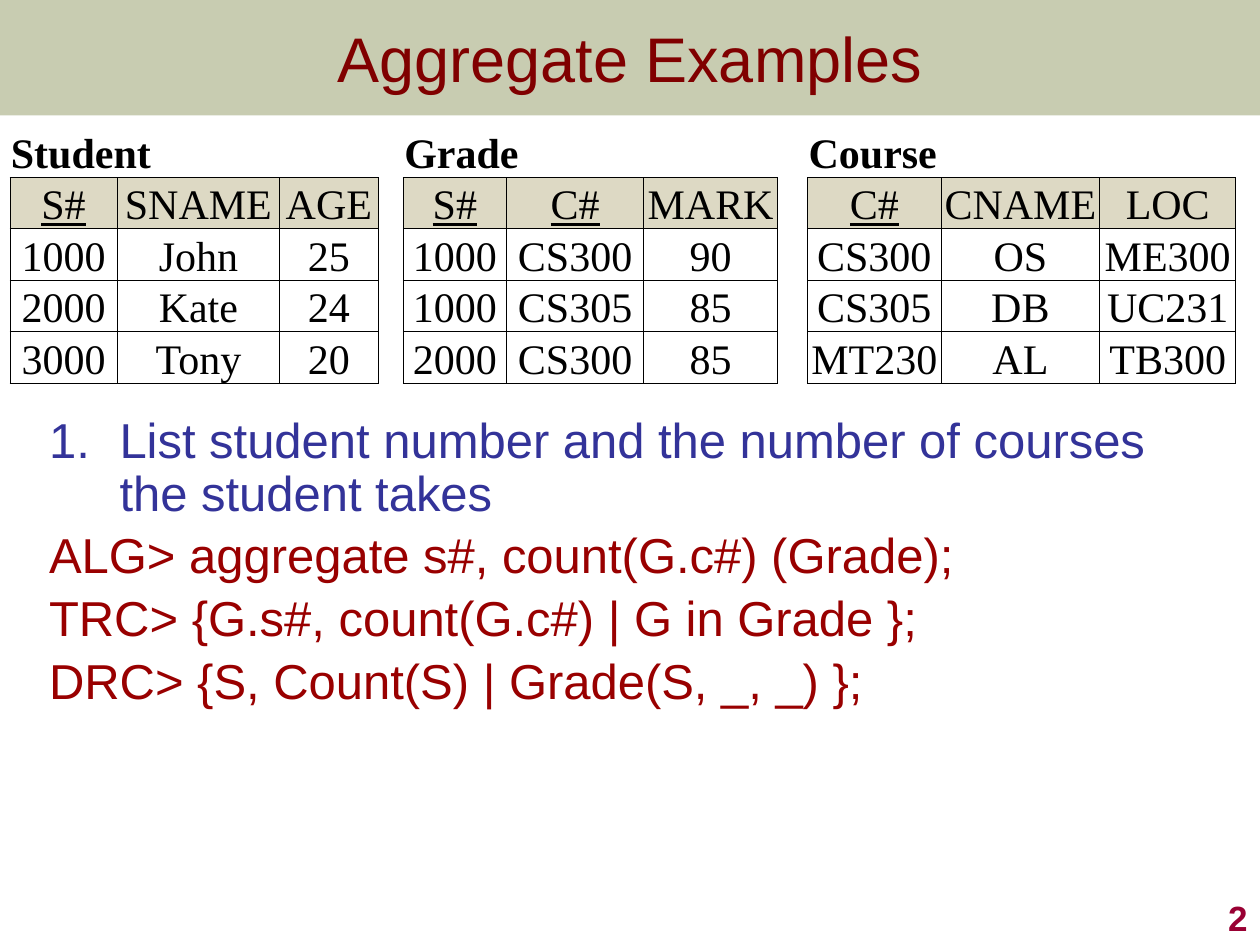
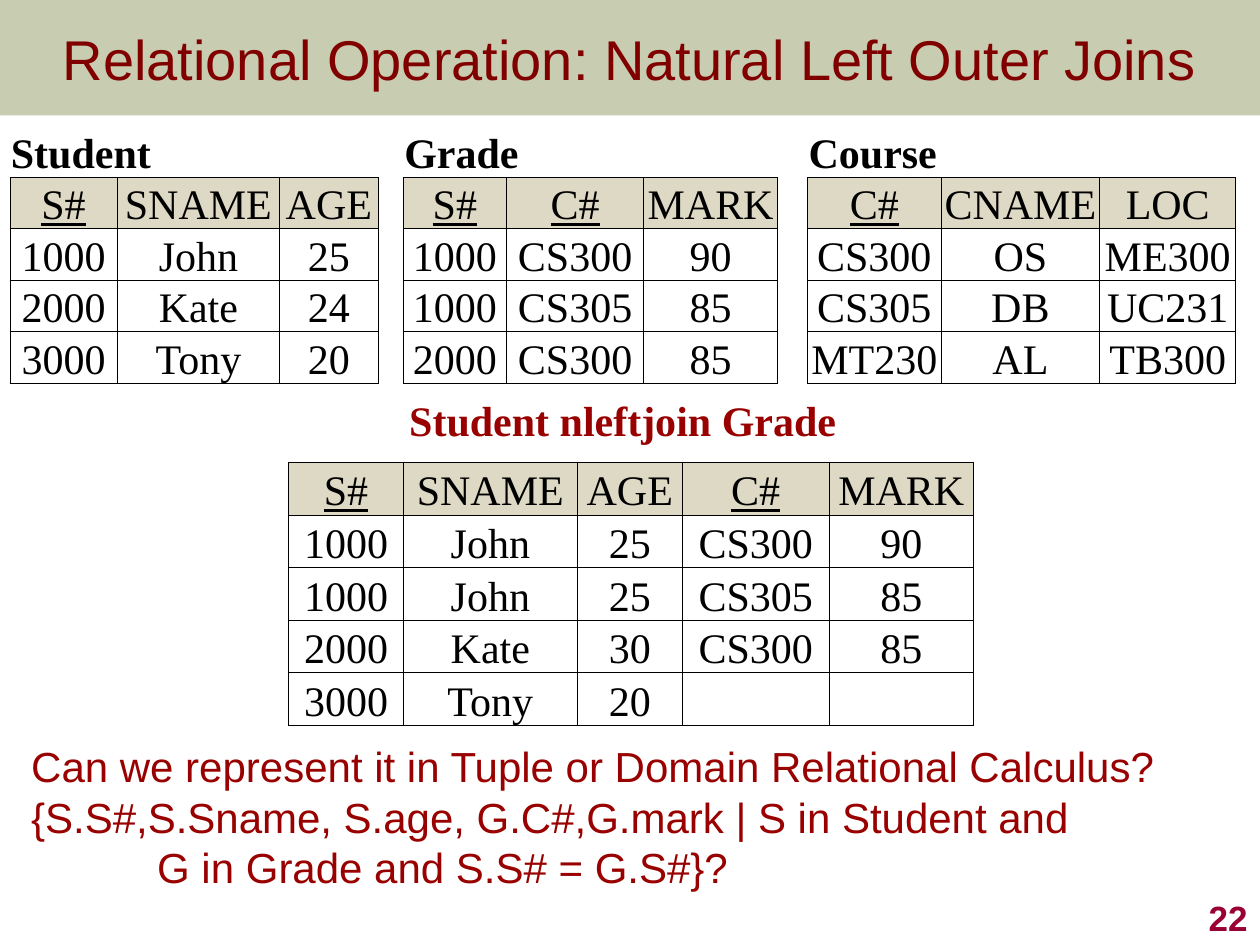
from lxml import etree
from pptx import Presentation
from pptx.dml.color import RGBColor
from pptx.enum.shapes import MSO_SHAPE
from pptx.enum.text import MSO_ANCHOR, PP_ALIGN
from pptx.oxml.ns import qn
from pptx.util import Cm, Pt

RECTANGLE = MSO_SHAPE.RECTANGLE
TOP, MIDDLE, BOTTOM = MSO_ANCHOR.TOP, MSO_ANCHOR.MIDDLE, MSO_ANCHOR.BOTTOM
LEFT, CENTER, RIGHT = PP_ALIGN.LEFT, PP_ALIGN.CENTER, PP_ALIGN.RIGHT

COLORS = {
    "band": "677228",
    "title": "800000",
    "number": "990033",
    "question": "333399",
    "answer": "990000",
    "header": "DDD9C4",
    "white": "FFFFFF",
    "black": "000000",
}
SANS, SERIF = "Arial", "Times New Roman"
PAGE_WIDTH, PAGE_HEIGHT, BAND_HEIGHT = 25.4, 19.05, 2.33
KEYS = ("S#", "C#")
SIDES = ("L", "R", "T", "B")

RELATIONS = [
    ("Student", (2.16, 3.28, 1.98), [
        ("S#", "SNAME", "AGE"),
        ("1000", "John", "25"),
        ("2000", "Kate", "24"),
        ("3000", "Tony", "20"),
    ]),
    ("Grade", (2.08, 2.77, 2.69), [
        ("S#", "C#", "MARK"),
        ("1000", "CS300", "90"),
        ("1000", "CS305", "85"),
        ("2000", "CS300", "85"),
    ]),
    ("Course", (2.69, 3.2, 2.74), [
        ("C#", "CNAME", "LOC"),
        ("CS300", "OS", "ME300"),
        ("CS305", "DB", "UC231"),
        ("MT230", "AL", "TB300"),
    ]),
]
RELATION_GAPS = (0.51, 0.61)

JOIN_WIDTHS = (2.31, 3.51, 2.11, 2.97, 2.9)
JOIN_ROWS = [
    ("S#", "SNAME", "AGE", "C#", "MARK"),
    ("1000", "John", "25", "CS300", "90"),
    ("1000", "John", "25", "CS305", "85"),
    ("2000", "Kate", "30", "CS300", "85"),
    ("3000", "Tony", "20", "", ""),
]


def style_font(para, size, color, name=SANS, bold=False):
    """Set the font of a whole paragraph."""
    font = para.font
    font.size, font.name, font.bold = Pt(size), name, bold
    font.color.rgb = RGBColor.from_string(COLORS[color])


def set_indent(para, margin, first=0):
    """Set left margin and first-line indent of a paragraph."""
    properties = para._p.get_or_add_pPr()
    properties.set("marL", str(Cm(margin)))
    properties.set("indent", str(Cm(first)))


def add_text(page, box, lines, size, color, name=SANS, bold=False, align=LEFT, anchor=TOP):
    """Add a wrapped text box and return its paragraphs."""
    frame = page.shapes.add_textbox(*map(Cm, box)).text_frame
    frame.word_wrap = True
    frame.vertical_anchor = anchor
    frame.text = "\n".join(lines)
    for para in frame.paragraphs:
        para.alignment = align
        style_font(para, size, color, name, bold)
    return frame.paragraphs


def add_frame(page, title, title_size, number):
    """Add the translucent title band, the title and the page number."""
    box = (0, 0, PAGE_WIDTH, BAND_HEIGHT)
    band = page.shapes.add_shape(RECTANGLE, *map(Cm, box))
    band.shadow.inherit = False
    band.line.fill.background()
    band.fill.solid()
    band.fill.fore_color.rgb = RGBColor.from_string(COLORS["band"])
    color = band._element.spPr.find(qn("a:solidFill"))[0]
    etree.SubElement(color, qn("a:alpha"), val="36000")
    add_text(page, box, [title], title_size, "title", align=CENTER, anchor=MIDDLE)
    width, height = 5.28, 1.27
    number_box = (PAGE_WIDTH - width, PAGE_HEIGHT - height, width, height)
    add_text(page, number_box, [str(number)], 20, "number", bold=True, align=RIGHT, anchor=BOTTOM)


def set_borders(cell, visible):
    """Draw thin black borders on the visible sides and none on the others."""
    properties = cell._tc.get_or_add_tcPr()
    for position, side in enumerate(SIDES):
        line = etree.Element(qn("a:ln" + side), w=str(Pt(0.5)))
        if side in visible:
            fill = etree.SubElement(line, qn("a:solidFill"))
            etree.SubElement(fill, qn("a:srgbClr"), val=COLORS["black"])
        else:
            etree.SubElement(line, qn("a:noFill"))
        properties.insert(position, line)


def fill_cell(cell, text="", fill="white", borders=SIDES, align=CENTER, bold=False):
    """Write one table cell with its fill and borders."""
    cell.margin_left = cell.margin_right = cell.margin_top = Cm(0.02)
    cell.margin_bottom = 0
    cell.vertical_anchor = BOTTOM
    cell.text = text
    para = cell.text_frame.paragraphs[0]
    para.alignment = align
    style_font(para, 24, "black", SERIF, bold)
    para.font.underline = text in KEYS
    cell.fill.solid()
    cell.fill.fore_color.rgb = RGBColor.from_string(COLORS[fill])
    set_borders(cell, borders)


def add_grid(page, left, top, widths, row_count, row_height):
    """Add an unstyled table with the given column widths."""
    box = (left, top, sum(widths), row_count * row_height)
    table = page.shapes.add_table(row_count, len(widths), *map(Cm, box)).table
    table.first_row = table.horz_banding = False
    for column, width in zip(table.columns, widths):
        column.width = Cm(width)
    for row in table.rows:
        row.height = Cm(row_height)
    return table


def fill_rows(table, rows, first_row=0, first_column=0):
    """Fill a block of cells, its first row being the header."""
    for r, row in enumerate(rows):
        for c, text in enumerate(row):
            cell = table.cell(first_row + r, first_column + c)
            fill_cell(cell, text, "white" if r else "header")


def add_relations(page, left, top):
    """Add the three named relations side by side in one table."""
    widths = []
    for (_, columns, _), gap in zip(RELATIONS, RELATION_GAPS + (None,)):
        widths += columns + ((gap,) if gap else ())
    table = add_grid(page, left, top, widths, 5, 0.97)
    start = 0
    for name, columns, rows in RELATIONS:
        end = start + len(columns)
        for c in range(start, end):
            fill_cell(table.cell(0, c), name if c == start else "", borders="B", align=LEFT, bold=True)
        table.cell(0, start).merge(table.cell(0, end - 1))
        fill_rows(table, rows, 1, start)
        if end < len(widths):
            for r in range(5):
                fill_cell(table.cell(r, end), borders="LR" if r else "")
        start = end + 1


def add_queries(page, box):
    """Add the numbered question and its answers in three query languages."""
    lines = [
        "1.\tList student number and the number of courses the student takes",
        "ALG> aggregate s#, count(G.c#) (Grade);",
        "TRC> {G.s#, count(G.c#) | G in Grade };",
        "DRC> {S, Count(S) | Grade(S, _, _) };",
    ]
    paragraphs = add_text(page, box, lines, 28, "answer")
    for para in paragraphs:
        para.line_spacing = 0.9
        para.space_before = Pt(5.6)
        set_indent(para, 0.97, -0.97)
    style_font(paragraphs[0], 28, "question")
    set_indent(paragraphs[0], 1.42, -1.42)


def add_join(page, left, top):
    """Add the caption and the table of the left outer join."""
    add_text(page, (left + 2.18, top - 1.5, 9.42, 1.27), ["Student nleftjoin Grade"],
             24, "answer", SERIF, bold=True)
    table = add_grid(page, left, top, JOIN_WIDTHS, len(JOIN_ROWS), 1.06)
    fill_rows(table, JOIN_ROWS)


def add_calculus(page, box):
    """Add the closing question with its indented last line."""
    lines = [
        "Can we represent it in Tuple or Domain Relational Calculus?",
        "{S.S#,S.Sname, S.age, G.C#,G.mark | S in Student and",
        "G in Grade and S.S# = G.S#}?",
    ]
    set_indent(add_text(page, box, lines, 24, "answer")[-1], 2.54)


def add_aggregate_page(deck):
    """Build the slide with the aggregate examples."""
    page = deck.slides.add_slide(deck.slide_layouts[6])
    add_frame(page, "Aggregate Examples", 36, 2)
    add_queries(page, (0.74, 8.26, 23.04, 8.69))
    add_relations(page, 0.2, 2.54)


def add_join_page(deck):
    """Build the slide with the natural left outer join."""
    page = deck.slides.add_slide(deck.slide_layouts[6])
    add_frame(page, "Relational Operation: Natural Left Outer Joins", 32, 22)
    add_join(page, 5.82, 9.32)
    add_relations(page, 0.2, 2.54)
    add_calculus(page, (0.38, 14.81, 23.39, 3.33))


def main():
    """Build and save the deck."""
    deck = Presentation()
    deck.slide_width, deck.slide_height = Cm(PAGE_WIDTH), Cm(PAGE_HEIGHT)
    add_aggregate_page(deck)
    add_join_page(deck)
    deck.save("out.pptx")


main()
